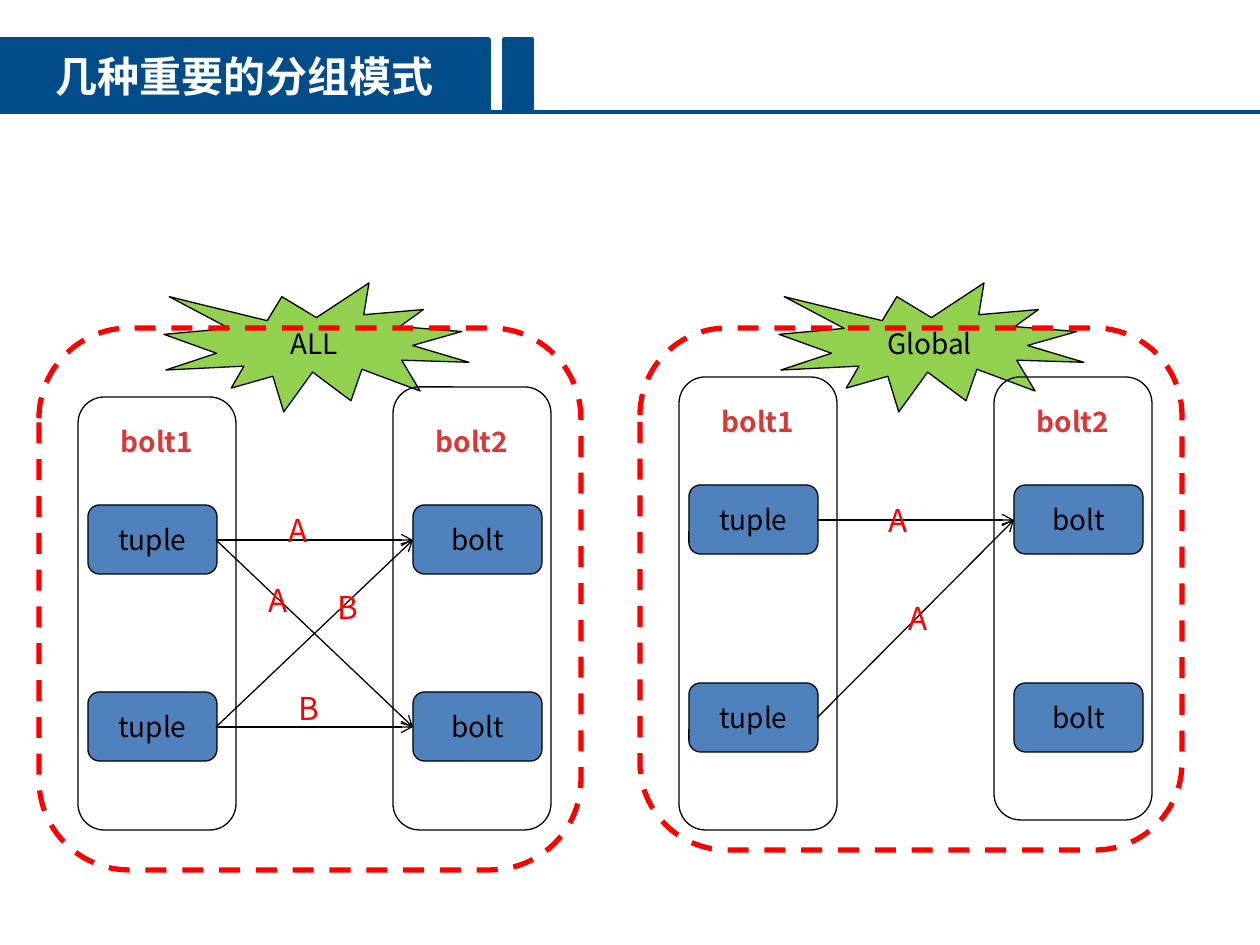
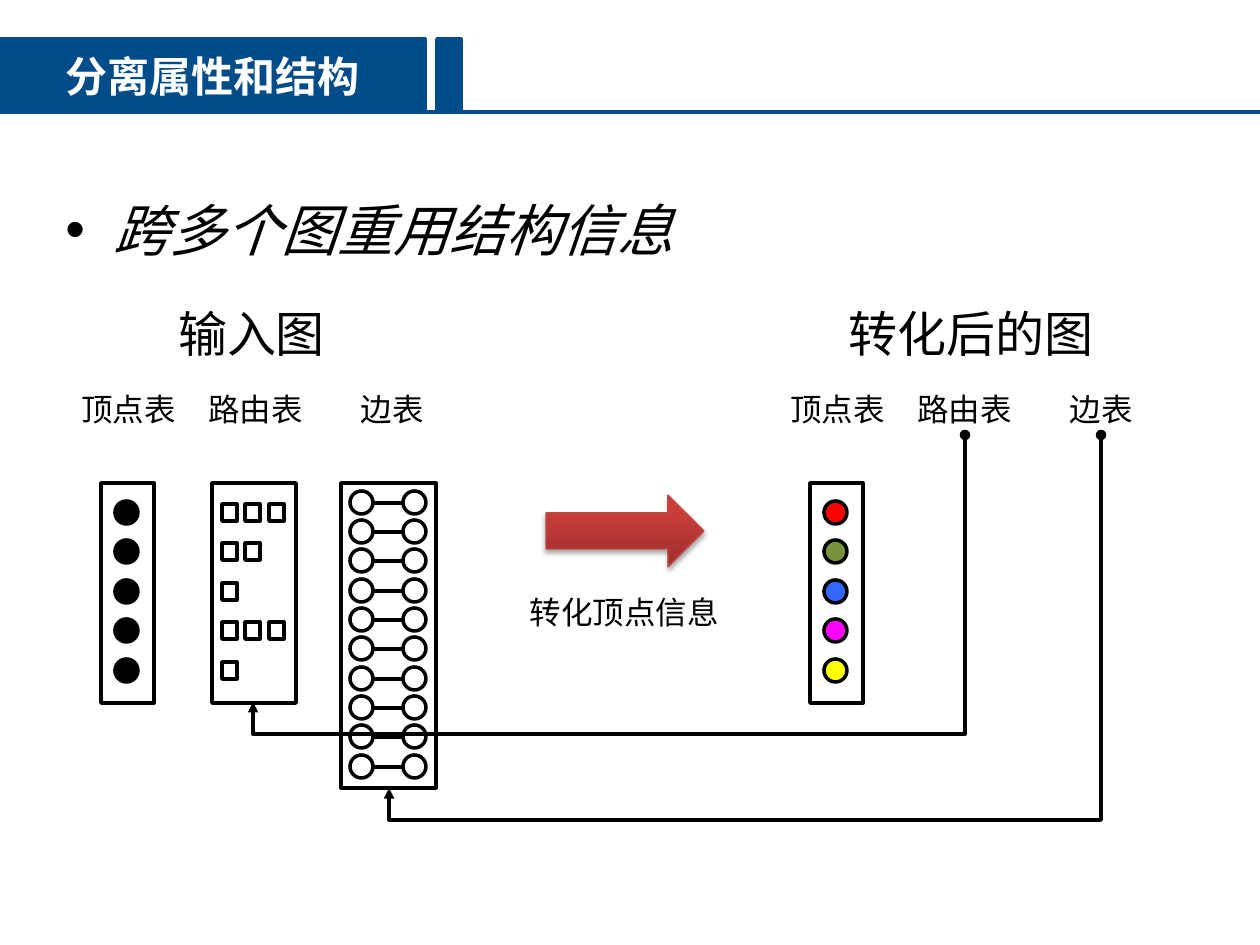
from copy import deepcopy
from dataclasses import dataclass

from lxml.etree import SubElement as Sub
from pptx import Presentation
from pptx.dml.color import RGBColor as Rgb
from pptx.enum.dml import MSO_LINE as Dash
from pptx.enum.shapes import MSO_CONNECTOR as Link, MSO_SHAPE as Kind
from pptx.enum.text import MSO_ANCHOR as Anchor, PP_ALIGN as Align
from pptx.oxml.ns import qn
from pptx.util import Emu, Pt

FONT = "Noto Sans CJK SC"
SCALE = 914400 / 126
BLACK = Rgb(0, 0, 0)
WHITE = Rgb(255, 255, 255)
NAVY = Rgb(0x02, 0x4C, 0x89)
BLUE = Rgb(0x4F, 0x81, 0xBD)
GREEN = Rgb(0x92, 0xD0, 0x50)
RED = Rgb(0xFF, 0, 0)
BRICK = Rgb(0xD7, 0x3A, 0x36)
RIM = Rgb(0xBF, 0x4C, 0x48)
FADE = [
    (0, Rgb(0x9C, 0x2F, 0x2D)),
    (0.8, Rgb(0xCB, 0x3E, 0x3A)),
    (1, Rgb(0xCE, 0x3B, 0x37)),
]
HUES = [
    RED,
    Rgb(0x77, 0x93, 0x3C),
    Rgb(0x33, 0x66, 0xFF),
    Rgb(0xFF, 0, 0xFF),
    Rgb(0xFF, 0xFF, 0),
]


@dataclass
class Box:
    x: int
    y: int
    w: int
    h: int


@dataclass
class Banner:
    text: str
    width: int
    tab: Box


@dataclass
class Mark:
    text: str
    x: int
    y: int


@dataclass
class Panel:
    name: str
    x: int
    height: int
    seal: int
    left: Box
    right: Box
    head: int
    rows: list[int]
    links: list[tuple[int, int]]
    marks: list[Mark]


BANNERS = [
    Banner("几种重要的分组模式", 489, Box(504, 39, 28, 73)),
    Banner("分离属性和结构", 425, Box(437, 39, 24, 73)),
]
PANELS = [
    Panel("ALL", 39, 542, 164, Box(78, 397, 158, 433), Box(393, 387, 158, 443),
          407, [505, 692], [(0, 0), (1, 1), (0, 1), (1, 0)],
          [Mark("A", 276, 505), Mark("B", 286, 683),
           Mark("A", 256, 575), Mark("B", 325, 582)]),
    Panel("Global", 640, 522, 779, Box(679, 377, 158, 453), Box(994, 377, 158, 443),
          387, [485, 683], [(0, 0), (1, 0)],
          [Mark("A", 876, 495), Mark("A", 896, 593)]),
]


def px(count: float) -> Emu:
    return Emu(round(count * SCALE))


def place(box: Box) -> list[Emu]:
    return [px(box.x), px(box.y), px(box.w), px(box.h)]


def write(shape, text: str, size: int = 16, color: Rgb = BLACK, bold: bool = False,
          slant: bool = False, align: Align = Align.CENTER,
          anchor: Anchor = Anchor.MIDDLE, wrap: bool = False, hang: int = 0) -> None:
    frame = shape.text_frame
    frame.word_wrap = wrap
    frame.vertical_anchor = anchor
    para = frame.paragraphs[0]
    para.alignment = align
    if hang:
        props = para._p.get_or_add_pPr()
        props.set("marL", str(px(hang)))
        props.set("indent", str(-px(hang)))
        Sub(props, qn("a:buFont")).set("typeface", "Arial")
        Sub(props, qn("a:buChar")).set("char", "•")
    run = para.add_run()
    run.text = text
    font = run.font
    font.size, font.bold, font.italic = Pt(size), bold, slant
    font.name = FONT
    font.color.rgb = color
    Sub(run._r.get_or_add_rPr(), qn("a:ea")).set("typeface", FONT)


def paint(shape, fill: Rgb | None, line: Rgb, width: float) -> None:
    if fill is None:
        shape.fill.background()
    else:
        shape.fill.solid()
        shape.fill.fore_color.rgb = fill
    shape.line.color.rgb = line
    shape.line.width = Pt(width)


def draw(slide, kind: Kind, box: Box, fill: Rgb | None = None,
         line: Rgb = BLACK, width: float = 2):
    shape = slide.shapes.add_shape(kind, *place(box))
    shape.shadow.inherit = False
    paint(shape, fill, line, width)
    return shape


def label(slide, text: str, box: Box, **style) -> None:
    write(slide.shapes.add_textbox(*place(box)), text, **style)


def join(slide, x1: float, y1: float, x2: float, y2: float, color: Rgb = BLACK,
         width: float = 2, head: str = "", tail: str = "", kind: Link = Link.STRAIGHT):
    line = slide.shapes.add_connector(kind, px(x1), px(y1), px(x2), px(y2))
    line.line.color.rgb = color
    line.line.width = Pt(width)
    props = line._element.spPr
    for tag, end in (("a:headEnd", head), ("a:tailEnd", tail)):
        if end:
            Sub(props.find(qn("a:ln")), qn(tag)).set("type", end)
    Sub(props, qn("a:effectLst"))
    return line


def bend(slide, x1: int, y1: int, x2: int, y2: int, drop: int = 32) -> None:
    wide, tall = x1 - x2, y2 - y1
    left = (x1 + x2 - tall) / 2
    top = (y1 + y2 - wide) / 2
    line = join(slide, left, top, left + tall, top + wide,
                head="oval", tail="triangle", kind=Link.ELBOW)
    props = line._element.spPr
    props.find(qn("a:xfrm")).set("rot", "5400000")
    guide = Sub(props.find(qn("a:prstGeom")).find(qn("a:avLst")), qn("a:gd"))
    guide.set("name", "adj1")
    guide.set("fmla", f"val {round((tall + drop) / tall * 100000)}")


def start(deck, banner: Banner):
    slide = deck.slides.add_slide(deck.slide_layouts[5])
    title = slide.shapes.title
    title.left, title.top, title.width, title.height = place(Box(0, 39, banner.width, 73))
    paint(title, NAVY, NAVY, 2)
    write(title, banner.text, size=24, color=WHITE, bold=True, wrap=True)
    join(slide, 0, 112, 1260, 112, color=NAVY)
    draw(slide, Kind.RECTANGLE, banner.tab, NAVY, NAVY)
    return slide


def add_panel(slide, panel: Panel) -> None:
    source, target = panel.x + 49, panel.x + 374
    seal = draw(slide, Kind.EXPLOSION1, Box(panel.seal, 283, 305, 129), GREEN, width=0.75)
    write(seal, panel.name)
    draw(slide, Kind.ROUNDED_RECTANGLE, panel.left, WHITE, width=0.75)
    for x, text in ((source, "tuple"), (target, "bolt")):
        for y in panel.rows:
            node = draw(slide, Kind.ROUNDED_RECTANGLE, Box(x, y, 129, 69), BLUE, width=0.75)
            write(node, text)
    frame = draw(slide, Kind.ROUNDED_RECTANGLE, Box(panel.x, 328, 542, panel.height),
                 line=RED, width=3)
    frame.line.dash_style = Dash.DASH
    draw(slide, Kind.ROUNDED_RECTANGLE, panel.right, width=0.75)
    for x, text in ((source + 10, "bolt1"), (target, "bolt2")):
        label(slide, text, Box(x, panel.head, 118, 69), color=BRICK, bold=True)
    for a, b in panel.links:
        join(slide, source + 128, panel.rows[a] + 35, target, panel.rows[b] + 35,
             width=0.75, tail="arrow")
    for mark in panel.marks:
        label(slide, mark.text, Box(mark.x, mark.y, 79, 50), size=18, color=RED,
              align=Align.LEFT, anchor=Anchor.TOP, wrap=True)


def add_dots(slide, x: int, hues: list[Rgb]) -> None:
    for i, hue in enumerate(hues):
        draw(slide, Kind.OVAL, Box(x + 14, 501 + i * 79 // 2, 23, 23), hue)
    draw(slide, Kind.RECTANGLE, Box(x, 483, 53, 220))


def add_routes(slide) -> None:
    draw(slide, Kind.RECTANGLE, Box(212, 483, 84, 220))
    for row, count in enumerate([3, 2, 1, 3, 1]):
        for col in range(count):
            draw(slide, Kind.RECTANGLE, Box(222 + col * 47 // 2, 504 + row * 79 // 2, 15, 17))


def add_edges(slide) -> None:
    draw(slide, Kind.RECTANGLE, Box(341, 483, 95, 305))
    for row in range(10):
        y = 491 + row * 88 // 3
        join(slide, 374, y + 12, 403, y + 12)
        for x in (350, 403):
            draw(slide, Kind.OVAL, Box(x, y, 23, 23))


def add_arrow(slide) -> None:
    arrow = draw(slide, Kind.RIGHT_ARROW, Box(546, 495, 158, 72), line=RIM, width=0.75)
    arrow.fill.gradient()
    arrow.fill.gradient_angle = 90
    props = arrow._element.spPr
    stops = props.find(".//" + qn("a:gsLst"))
    stops.append(deepcopy(stops[-1]))
    for stop, (spot, hue) in zip(arrow.fill.gradient_stops, FADE):
        stop.position = spot
        stop.color.rgb = hue
    shade = Sub(props.find(qn("a:effectLst")), qn("a:outerShdw"), blurRad=str(Pt(3.1)),
                dist=str(Pt(1.8)), dir="5400000", rotWithShape="0")
    tint = Sub(shade, qn("a:srgbClr"), val="000000")
    Sub(tint, qn("a:alpha"), val="35000")


def add_modes(deck) -> None:
    slide = start(deck, BANNERS[0])
    for panel in PANELS:
        add_panel(slide, panel)


def add_split(deck) -> None:
    slide = start(deck, BANNERS[1])
    label(slide, "跨多个图重用结构信息", Box(53, 189, 1197, 84), size=32, slant=True,
          align=Align.LEFT, anchor=Anchor.TOP, wrap=True, hang=48)
    for text, x, w in (("输入图", 105, 293), ("转化后的图", 734, 474)):
        label(slide, text, Box(x, 297, w, 72), size=28, anchor=Anchor.TOP, wrap=True)
    add_arrow(slide)
    label(slide, "转化顶点信息", Box(516, 587, 217, 50), size=18, anchor=Anchor.TOP)
    add_dots(slide, 101, [BLACK] * 5)
    add_routes(slide)
    add_edges(slide)
    add_dots(slide, 810, HUES)
    for xs in ((68, 195, 348), (777, 904, 1057)):
        for text, x, w in zip(("顶点表", "路由表", "边表"), xs, (121, 121, 89)):
            label(slide, text, Box(x, 384, w, 50), size=18, anchor=Anchor.TOP)
    bend(slide, 965, 435, 253, 702)
    bend(slide, 1101, 435, 389, 788)


def main() -> None:
    deck = Presentation()
    deck.slide_width, deck.slide_height = px(1260), px(945)
    add_modes(deck)
    add_split(deck)
    deck.save("out.pptx")


if __name__ == "__main__":
    main()
